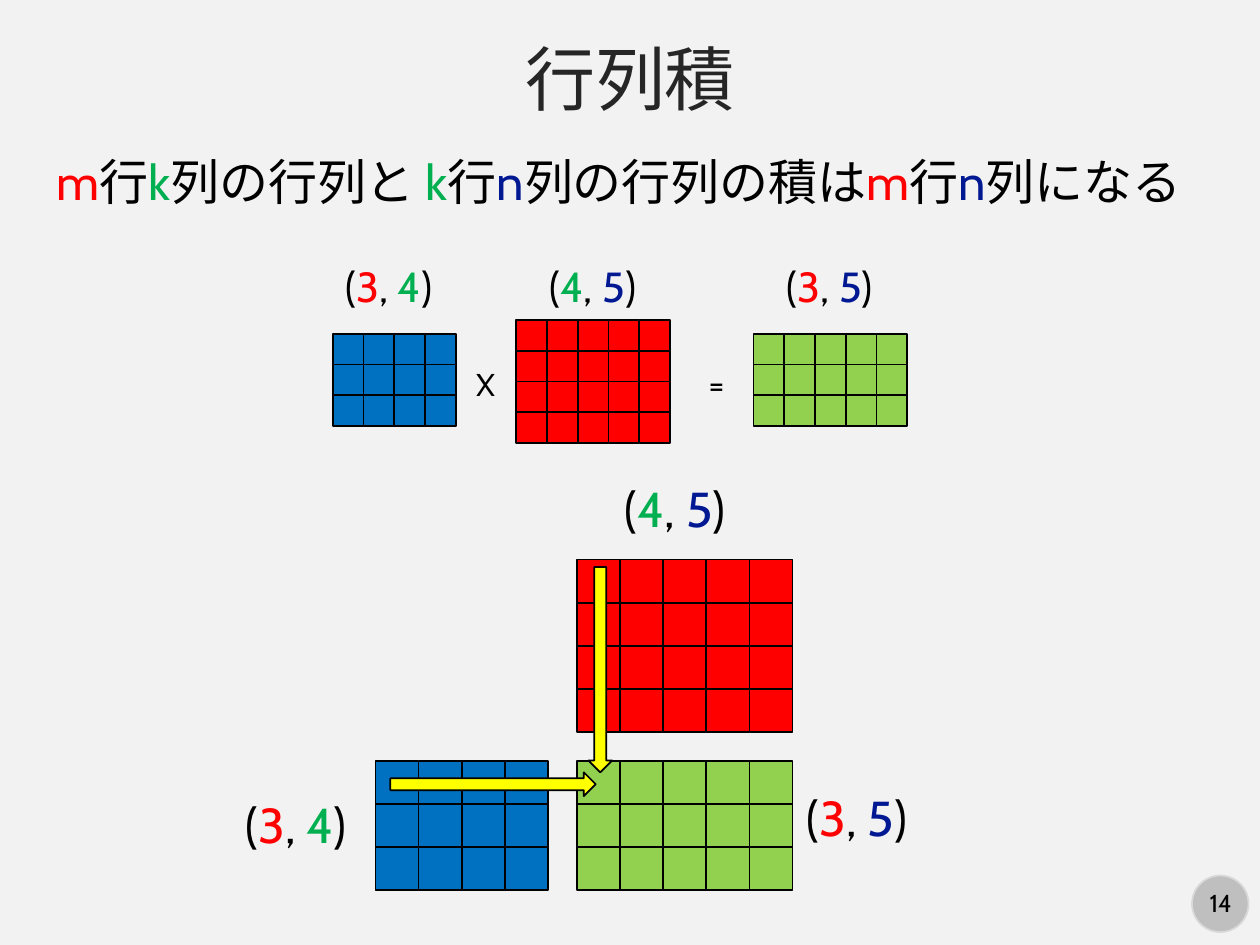
import dataclasses
import itertools

import pptx
import pptx.dml.color
import pptx.enum.shapes
import pptx.enum.text
import pptx.util

Cm = pptx.util.Cm
Pt = pptx.util.Pt
RGBColor = pptx.dml.color.RGBColor
MSO_SHAPE = pptx.enum.shapes.MSO_SHAPE
PP_ALIGN = pptx.enum.text.PP_ALIGN
MSO_ANCHOR = pptx.enum.text.MSO_ANCHOR


@dataclasses.dataclass(frozen=True)
class Theme:
    font: str = "Cabin"
    background: str = "F2F2F2"
    black: str = "000000"
    title: str = "262626"
    rows: str = "FF0000"
    shared: str = "00B050"
    columns: str = "011893"
    left_matrix: str = "0070C0"
    right_matrix: str = "FF0000"
    product: str = "92D050"
    arrow: str = "FFFF00"
    badge: str = "BFBFBF"
    badge_line: str = "D9D9D9"
    title_size: int = 40
    large_size: int = 28
    label_size: int = 24
    operator_size: int = 18
    number_size: int = 14


theme = Theme()
dimension_colors = {
    "m": theme.rows, "3": theme.rows,
    "k": theme.shared, "4": theme.shared,
    "n": theme.columns, "5": theme.columns,
}


def add_text(text, *, parent, box, size, color=theme.black, accents=None,
             align=PP_ALIGN.CENTER, anchor=MSO_ANCHOR.TOP, wrap=False):
    text_box = parent.shapes.add_textbox(*map(Cm, box))
    frame = text_box.text_frame
    frame.word_wrap = wrap
    frame.vertical_anchor = anchor
    paragraph = frame.paragraphs[0]
    paragraph.alignment = align
    accents = accents or {}
    for run_color, letters in itertools.groupby(text, lambda letter: accents.get(letter, color)):
        run = paragraph.add_run()
        run.text = "".join(letters)
        run.font.name = theme.font
        run.font.size = Pt(size)
        run.font.color.rgb = RGBColor.from_string(run_color)


def add_filled_shape(kind, *, parent, box, fill, line=theme.black):
    shape = parent.shapes.add_shape(kind, *map(Cm, box))
    shape.shadow.inherit = False
    shape.fill.solid()
    shape.fill.fore_color.rgb = RGBColor.from_string(fill)
    shape.line.color.rgb = RGBColor.from_string(line)
    shape.line.width = Pt(1)
    return shape


presentation = pptx.Presentation()
presentation.slide_width = Cm(25.4)
presentation.slide_height = Cm(19.05)
slide = presentation.slides.add_slide(presentation.slide_layouts[6])
slide.background.fill.solid()
slide.background.fill.fore_color.rgb = RGBColor.from_string(theme.background)

add_filled_shape(MSO_SHAPE.OVAL, parent=slide, box=(24.03, 17.65, 1.14, 1.14),
                 fill=theme.badge, line=theme.badge_line)
add_text("14", parent=slide, box=(24.05, 17.78, 1.12, 0.86), size=theme.number_size)
add_text("行列積", parent=slide, box=(0, 0.53, 25.4, 2.08), size=theme.title_size,
         color=theme.title, anchor=MSO_ANCHOR.MIDDLE, wrap=True)
add_text("m行k列の行列と k行n列の行列の積はm行n列になる", parent=slide,
         box=(0.89, 2.92, 23.24, 1.45), size=theme.large_size,
         accents=dimension_colors, align=PP_ALIGN.LEFT, wrap=True)

equation = slide.shapes.add_group_shape()
layout = slide.shapes.add_group_shape()

matrices = [
    (equation, 0.62, 6.71, 6.73, 3, 4, theme.left_matrix),
    (equation, 0.62, 10.41, 6.45, 4, 5, theme.right_matrix),
    (equation, 0.62, 15.19, 6.73, 3, 5, theme.product),
    (layout, 0.87, 7.57, 15.34, 3, 4, theme.left_matrix),
    (layout, 0.87, 11.63, 11.28, 4, 5, theme.right_matrix),
    (layout, 0.87, 11.63, 15.34, 3, 5, theme.product),
]
for group, cell, left, top, row_count, column_count, fill in matrices:
    for row, column in itertools.product(range(row_count), range(column_count)):
        add_filled_shape(MSO_SHAPE.RECTANGLE, parent=group, fill=fill,
                         box=(left + column * cell, top + row * cell, cell, cell))

for left, top, rotation in [(7.87, 15.57, 0), (10.03, 13.26, 90)]:
    arrow = add_filled_shape(MSO_SHAPE.RIGHT_ARROW, parent=layout,
                             box=(left, top, 4.14, 0.48), fill=theme.arrow)
    arrow.rotation = rotation

for text, left in [("(3, 4)", 6.71), ("(4, 5)", 10.82), ("(3, 5)", 15.6)]:
    add_text(text, parent=equation, box=(left, 5.13, 2.26, 1.27),
             size=theme.label_size, accents=dimension_colors)

for text, left, width in [("X", 9.22, 1.14), ("=", 14, 0.89)]:
    add_text(text, parent=equation, box=(left, 7.24, width, 1.02), size=theme.operator_size)

for text, left, top in [("(3, 4)", 4.7, 15.9), ("(4, 5)", 12.34, 9.53), ("(3, 5)", 16, 15.75)]:
    add_text(text, parent=layout, box=(left, top, 2.54, 1.45),
             size=theme.large_size, accents=dimension_colors)

presentation.save("out.pptx")
